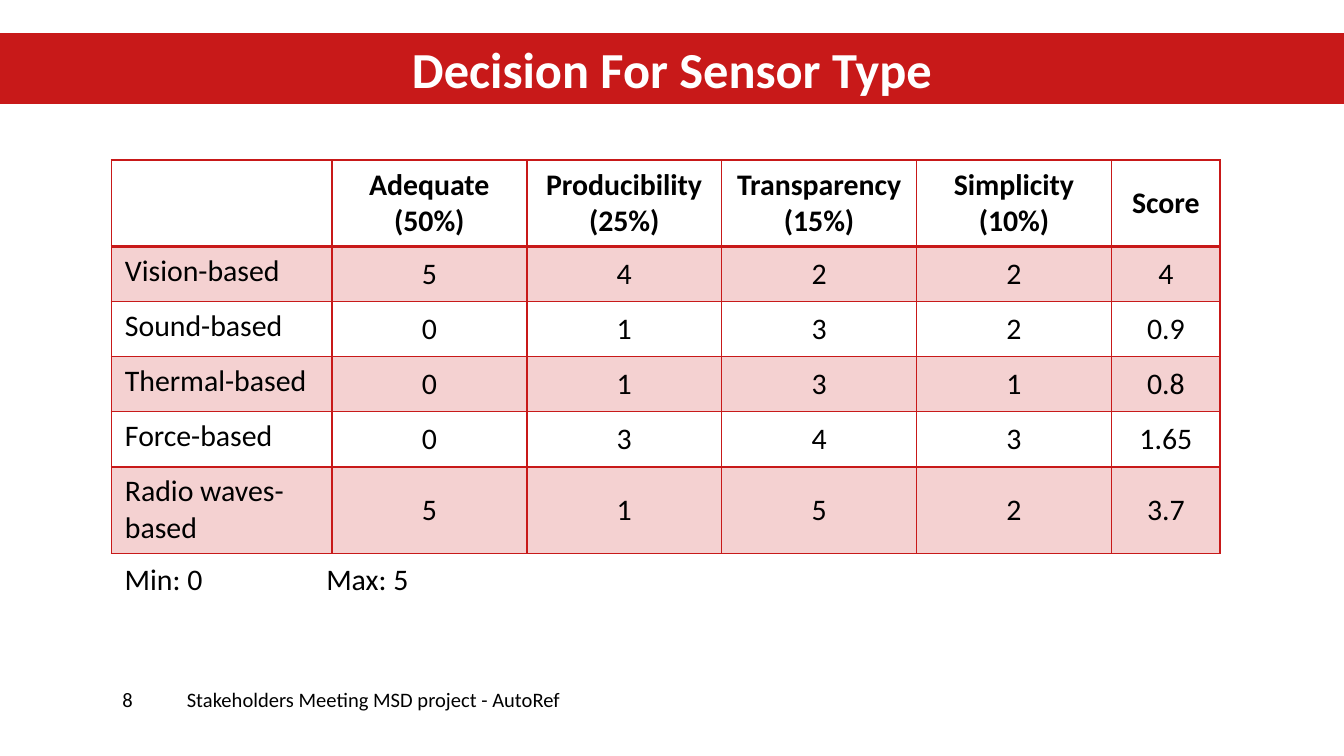
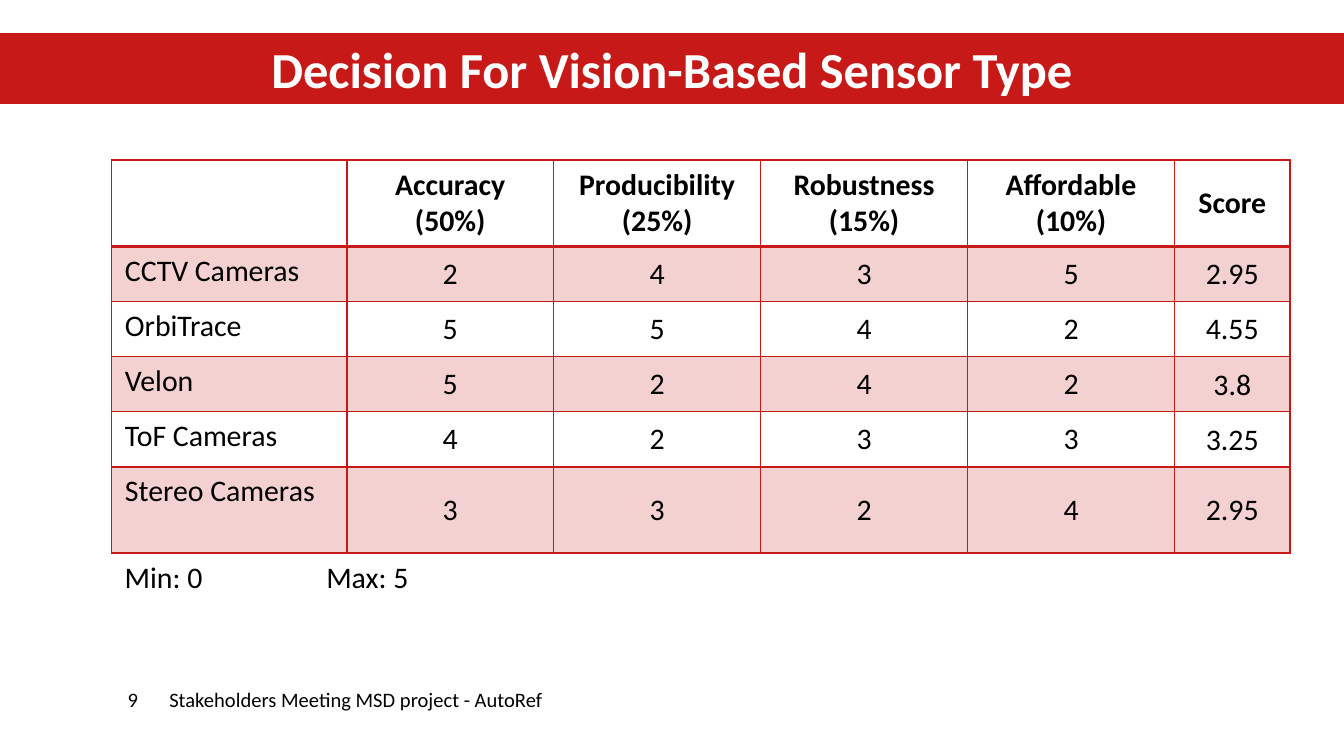
"""Builds two decision-matrix slides for choosing a sensor."""
from dataclasses import dataclass

from lxml.etree import SubElement
from pptx import Presentation
from pptx.dml.color import RGBColor
from pptx.enum.shapes import MSO_SHAPE as Shape
from pptx.enum.text import MSO_ANCHOR as Anchor, MSO_AUTO_SIZE as AutoSize, PP_ALIGN as Align
from pptx.oxml.ns import qn
from pptx.util import Inches, Length, Pt

RED = RGBColor(0xC8, 0x19, 0x19)
WHITE = RGBColor(0xFF, 0xFF, 0xFF)
BLACK = RGBColor(0x00, 0x00, 0x00)
FONT = "Calibri"
BAND_OPACITY = 20
SLIDE_WIDTH = Inches(10)
SLIDE_HEIGHT = SLIDE_WIDTH * 9 // 16
TABLE_LEFT, TABLE_TOP = Inches(0.83), Inches(1.19)
FOOTER_TOP, FOOTER_HEIGHT = Inches(4.89), Inches(0.63)
FOOTER_TEXT = "Stakeholders Meeting MSD project - AutoRef"
SCALE_TEXT = "Min: 0\t\tMax: 5"
SCALE_TAB = 0.75
CELL_INSETS = (0.1, 0.05, 0.1, 0.05)
TIGHT_INSETS = (0.01, 0.01, 0.01, 0)


@dataclass(frozen=True)
class Matrix:
    """A scoring table: weighted criteria across, candidates down."""

    criteria: list[tuple[str, ...]]
    scores: list[tuple[str, ...]]
    label_width: float
    criterion_width: float
    score_width: float
    tall_row: float
    row: float = 0.41
    score_insets: tuple[float, ...] = CELL_INSETS

    @property
    def widths(self) -> list[float]:
        """Return the column widths in inches."""
        return [self.label_width, *[self.criterion_width] * len(self.criteria), self.score_width]

    @property
    def heights(self) -> list[float]:
        """Return the row heights in inches, header and last row being tall."""
        return [self.tall_row, *[self.row] * (len(self.scores) - 1), self.tall_row]


@dataclass(frozen=True)
class DecisionSlide:
    """One slide with its matrix and the places that vary."""

    title: str
    number: str
    matrix: Matrix
    scale_top: float
    number_left: float
    footer_left: float
    footer_width: float


SLIDES = [
    DecisionSlide(
        "Decision For Sensor Type", "8",
        Matrix(
            [("Adequate", "(50%)"), ("Producibility", "(25%)"),
             ("Transparency", "(15%)"), ("Simplicity", "(10%)")],
            [("Vision-based", "5", "4", "2", "2", "4"),
             ("Sound-based", "0", "1", "3", "2", "0.9"),
             ("Thermal-based", "0", "1", "3", "1", "0.8"),
             ("Force-based", "0", "3", "4", "3", "1.65"),
             ("Radio waves-based", "5", "1", "5", "2", "3.7")],
            label_width=1.64, criterion_width=1.45, score_width=0.81, tall_row=0.63),
        scale_top=4.12, number_left=0.08, footer_left=1.39, footer_width=7.47),
    DecisionSlide(
        "Decision For Vision-Based Sensor Type", "9",
        Matrix(
            [("Accuracy", "(50%)"), ("Producibility", "(25%)"),
             ("Robustness", "(15%)"), ("Affordable", "(10%)")],
            [("CCTV Cameras", "2", "4", "3", "5", "2.95"),
             ("OrbiTrace", "5", "5", "4", "2", "4.55"),
             ("Velon", "5", "2", "4", "2", "3.8"),
             ("ToF Cameras", "4", "2", "3", "3", "3.25"),
             ("Stereo Cameras", "3", "3", "2", "4", "2.95")],
            label_width=1.75, criterion_width=1.54, score_width=0.86, tall_row=0.64,
            score_insets=TIGHT_INSETS),
        scale_top=4.11, number_left=0.12, footer_left=1.26, footer_width=7.7),
]


def write(frame, *lines: str, size: float = 16, color: RGBColor = BLACK,
          bold: bool = False, align: Align = Align.LEFT, tabs: tuple[float, ...] = ()) -> None:
    """Fill a text frame with one paragraph per line."""
    for index, line in enumerate(lines):
        para = frame.add_paragraph() if index else frame.paragraphs[0]
        para.alignment = align
        if tabs:
            tab_list = SubElement(para._p.get_or_add_pPr(), qn("a:tabLst"))
            for tab in tabs:
                SubElement(tab_list, qn("a:tab"), pos=str(Inches(tab)), algn="l")
        span = para.add_run()
        span.text = line
        span.font.name, span.font.size = FONT, Pt(size)
        span.font.bold, span.font.color.rgb = bold, color


def set_insets(target, insets: tuple[float, ...]) -> None:
    """Set left, top, right and bottom margins of a cell or frame."""
    sides = ("margin_left", "margin_top", "margin_right", "margin_bottom")
    for side, inset in zip(sides, insets):
        setattr(target, side, Inches(inset))


def set_borders(cell, top: float = 1, bottom: float = 1) -> None:
    """Draw red borders, with widths in points, around a cell."""
    properties = cell._tc.get_or_add_tcPr()
    widths = {"a:lnL": 1, "a:lnR": 1, "a:lnT": top, "a:lnB": bottom}
    for index, (tag, width) in enumerate(widths.items()):
        line = SubElement(properties, qn(tag), w=str(Pt(width)))
        SubElement(SubElement(line, qn("a:solidFill")), qn("a:srgbClr"), val=str(RED))
        properties.insert(index, line)


def set_band(cell, shaded: bool) -> None:
    """Shade a cell in translucent red or leave it clear."""
    if not shaded:
        cell.fill.background()
        return
    cell.fill.solid()
    cell.fill.fore_color.rgb = RED
    color = cell._tc.tcPr.find(qn("a:solidFill")).find(qn("a:srgbClr"))
    SubElement(color, qn("a:alpha"), val=str(BAND_OPACITY * 1000))


def add_matrix(page, matrix: Matrix) -> None:
    """Add the scoring table."""
    header = [(), *matrix.criteria, ("Score",)]
    rows = [header, *[[(value,) for value in row] for row in matrix.scores]]
    widths, heights = matrix.widths, matrix.heights
    table = page.shapes.add_table(len(rows), len(widths), TABLE_LEFT, TABLE_TOP,
                                  Inches(sum(widths)), Inches(sum(heights))).table
    table.first_row = table.horz_banding = False
    for column, width in zip(table.columns, widths):
        column.width = Inches(width)
    for row_index, (row, height) in enumerate(zip(rows, heights)):
        table.rows[row_index].height = Inches(height)
        for column_index, lines in enumerate(row):
            cell = table.cell(row_index, column_index)
            is_label = column_index == 0
            is_score = row_index > 0 and column_index == len(row) - 1
            set_insets(cell, matrix.score_insets if is_score else CELL_INSETS)
            cell.vertical_anchor = Anchor.TOP if is_label else Anchor.MIDDLE
            set_band(cell, row_index % 2 == 1)
            set_borders(cell, top=2 if row_index == 1 else 1, bottom=2 if row_index == 0 else 1)
            write(cell.text_frame, *lines, bold=row_index == 0,
                  align=Align.LEFT if is_label else Align.CENTER)


def add_title(page, text: str, width: Length) -> None:
    """Turn the title placeholder into the red band."""
    title = page.shapes.title
    title.left, title.top, title.width, title.height = 0, Inches(0.25), width, Inches(0.52)
    title.fill.solid()
    title.fill.fore_color.rgb = title.line.color.rgb = RED
    title.line.width = Pt(1)
    frame = title.text_frame
    frame.auto_size, frame.vertical_anchor = AutoSize.NONE, Anchor.MIDDLE
    write(frame, text, size=27, color=WHITE, bold=True, align=Align.CENTER)


def add_footer_box(page, text: str, left: float, width: float, indent: float = 0) -> None:
    """Add one white footer box."""
    box = page.shapes.add_shape(Shape.RECTANGLE, Inches(left), FOOTER_TOP,
                                Inches(width), FOOTER_HEIGHT)
    box.shadow.inherit = False
    box.fill.solid()
    box.fill.fore_color.rgb = WHITE
    box.line.fill.background()
    frame = box.text_frame
    frame.word_wrap, frame.vertical_anchor = True, Anchor.MIDDLE
    set_insets(frame, (indent, 0, 0, 0))
    write(frame, text, size=11)


def add_scale(page, top: float) -> None:
    """Add the note on the scoring range."""
    box = page.shapes.add_textbox(TABLE_LEFT, Inches(top), Inches(5), Inches(0.37))
    box.text_frame.word_wrap = True
    box.text_frame.auto_size = AutoSize.SHAPE_TO_FIT_TEXT
    write(box.text_frame, SCALE_TEXT, tabs=(SCALE_TAB, 2 * SCALE_TAB))


def main() -> None:
    """Build and save the deck."""
    deck = Presentation()
    deck.slide_width, deck.slide_height = SLIDE_WIDTH, SLIDE_HEIGHT
    for content in SLIDES:
        page = deck.slides.add_slide(deck.slide_layouts[5])
        add_title(page, content.title, SLIDE_WIDTH)
        add_matrix(page, content.matrix)
        add_scale(page, content.scale_top)
        add_footer_box(page, content.number, content.number_left, 1.22, indent=0.83)
        add_footer_box(page, FOOTER_TEXT, content.footer_left, content.footer_width)
    deck.save("out.pptx")


if __name__ == "__main__":
    main()
